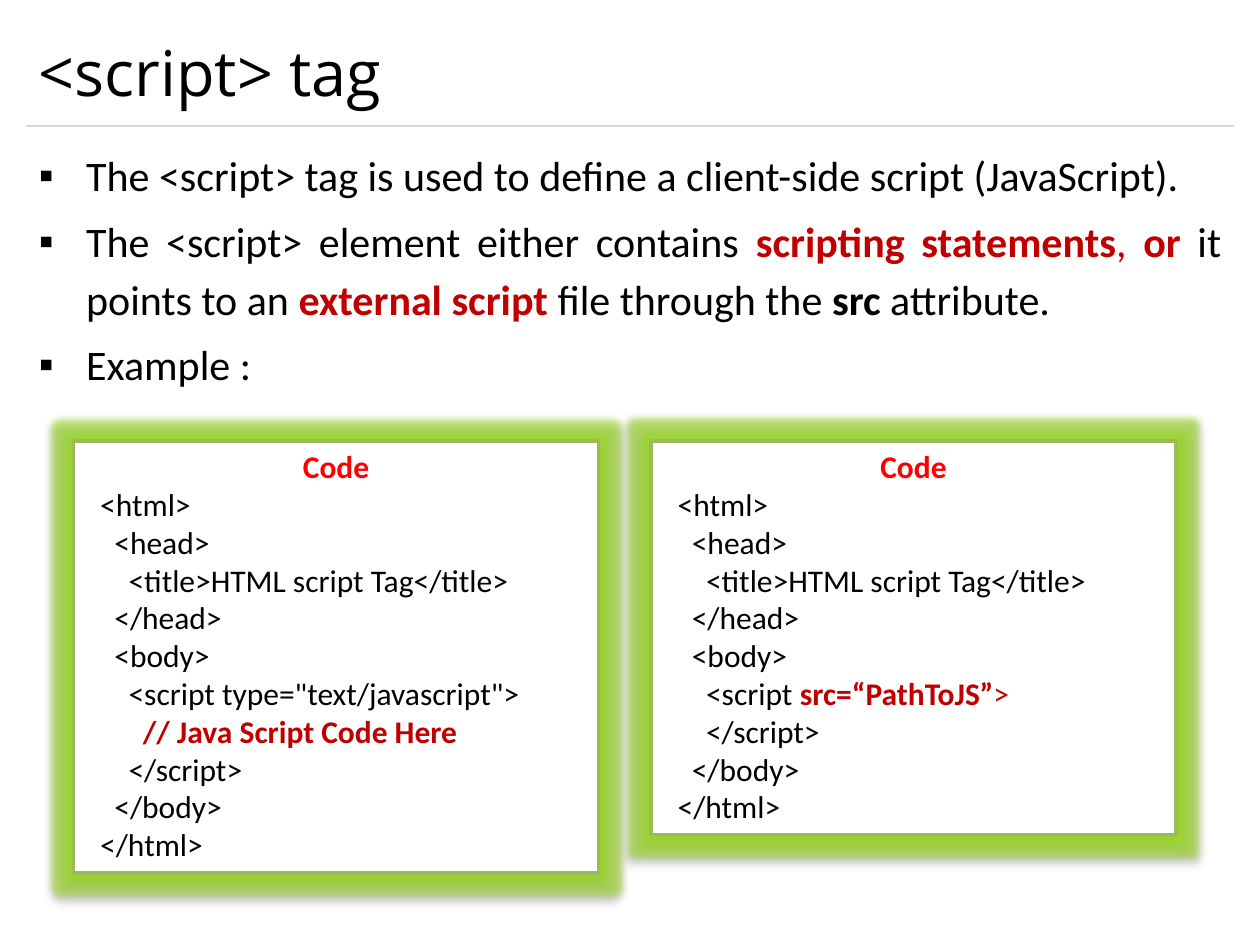
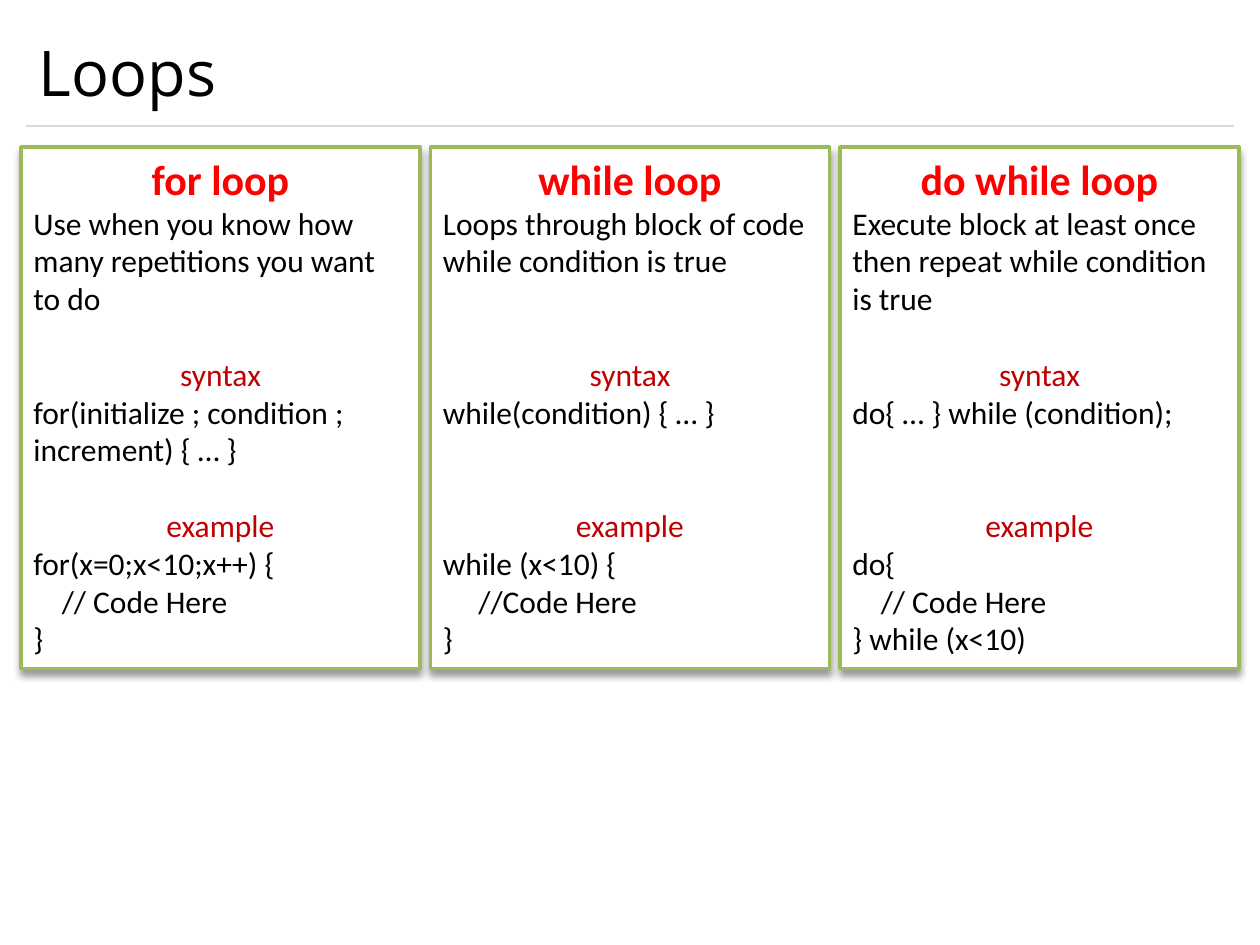
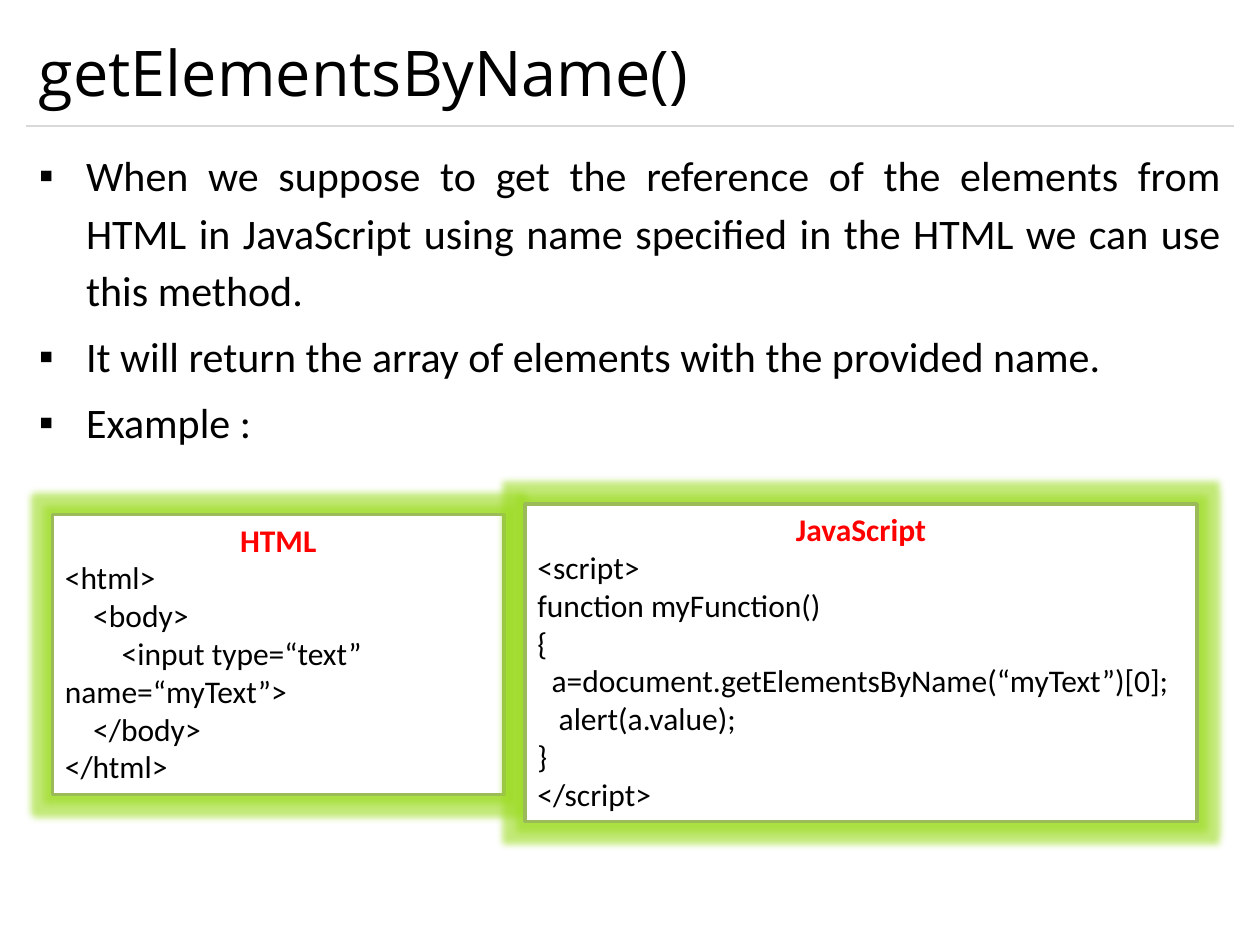
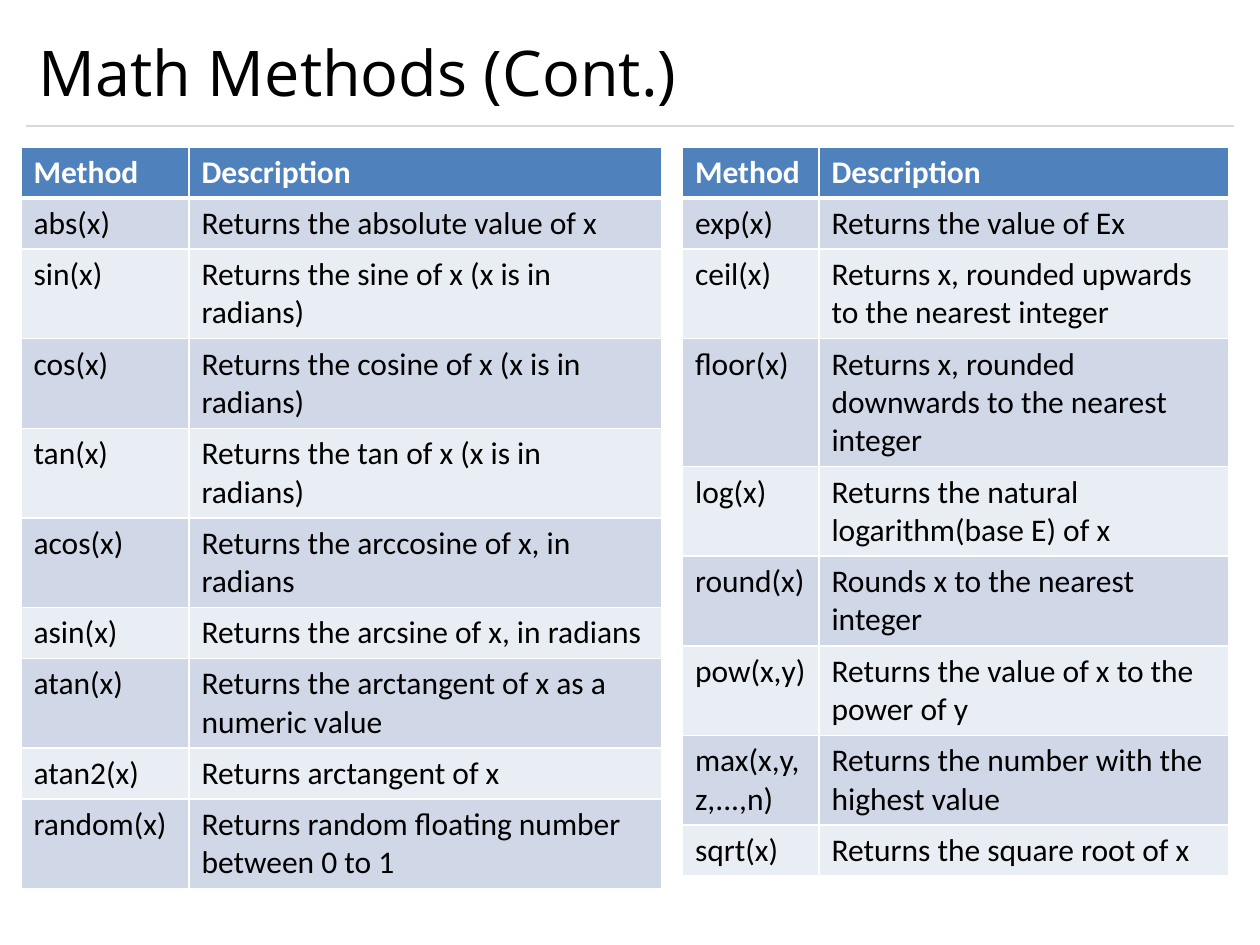
from dataclasses import dataclass

from lxml.etree import SubElement
from pptx import Presentation
from pptx.dml.color import RGBColor
from pptx.enum.shapes import MSO_CONNECTOR, MSO_SHAPE
from pptx.enum.text import MSO_ANCHOR, MSO_AUTO_SIZE, PP_ALIGN
from pptx.oxml.ns import qn
from pptx.util import Pt

COLORS = {
    "black": "000000", "white": "FFFFFF", "rule": "D9D9D9",
    "heading": "FF0000", "accent": "C00000",
    "border": "9BBB59", "glow": "9BDB20",
    "header": "4F81BD", "band_dark": "D0D8E8", "band_light": "E9EDF4",
}
FONT, TITLE_FONT = "Calibri", "Open Sans"
LEFT, WIDTH = 15, 690
LINE = 21.6  # height of one 18 pt line
TITLE_ONLY, TITLE_AND_BODY = 5, 1

# Run styles: colour name and bold
STYLES = {
    "plain": ("black", False), "bold": ("black", True),
    "accent": ("accent", False), "key": ("accent", True),
    "heading": ("heading", True), "header": ("white", True),
}


@dataclass
class Para:
    """One paragraph: a string, or a list of (text, style) runs."""
    text: str | list[tuple[str, str]]
    style: str = "plain"
    size: float = 18
    centered: bool = False
    skip: int = 0  # empty lines left above


@dataclass
class Box:
    left: float
    top: float
    width: float
    height: float
    paras: list[Para]
    glow: bool = False
    shadow: bool = False


@dataclass
class MethodTable:
    left: float
    col_widths: tuple[float, float]
    rows: list[tuple[str, str]]


def rgb(name: str) -> RGBColor:
    return RGBColor.from_string(COLORS[name])


def add_color(parent, name: str, alpha: int = 100) -> None:
    clr = SubElement(parent, qn("a:srgbClr"), val=COLORS[name])
    if alpha < 100:
        SubElement(clr, qn("a:alpha"), val=str(alpha * 1000))


def place(sp, left: float, top: float, width: float, height: float) -> None:
    sp.left, sp.top, sp.width, sp.height = map(Pt, (left, top, width, height))


def write(p, para: Para) -> None:
    """Put the runs of a paragraph in place and format them."""
    runs = [(para.text, para.style)] if isinstance(para.text, str) else para.text
    for text, style in runs:
        r = p.add_run()
        r.text = text
        color, r.font.bold = STYLES[style]
        r.font.color.rgb = rgb(color)
        r.font.name, r.font.size = FONT, Pt(para.size)


def paragraph(tf, index: int):
    return tf.add_paragraph() if index else tf.paragraphs[0]


def new_slide(prs, title: str, layout: int = TITLE_ONLY):
    """Slide with the shared title and the rule under it."""
    slide = prs.slides.add_slide(prs.slide_layouts[layout])
    sp = slide.shapes.title
    place(sp, LEFT, 9, WIDTH, 63)
    tf = sp.text_frame
    tf.text = title
    tf.auto_size = MSO_AUTO_SIZE.NONE
    tf.vertical_anchor = MSO_ANCHOR.MIDDLE
    p = tf.paragraphs[0]
    p.alignment = PP_ALIGN.LEFT
    font = p.runs[0].font
    font.name, font.size, font.color.rgb = TITLE_FONT, Pt(36), rgb("black")

    rule = slide.shapes.add_connector(
        MSO_CONNECTOR.STRAIGHT, Pt(LEFT), Pt(72), Pt(LEFT + WIDTH), Pt(72))
    rule.line.color.rgb, rule.line.width = rgb("rule"), Pt(0.75)
    SubElement(rule.element.spPr, qn("a:effectLst"))
    return slide


def add_bullets(slide, paras: list[Para]) -> None:
    body = slide.placeholders[1]
    place(body, LEFT, 78, WIDTH, 420)
    tf = body.text_frame
    tf.auto_size = MSO_AUTO_SIZE.NONE
    for i, para in enumerate(paras):
        p = paragraph(tf, i)
        p.alignment, p.line_spacing = PP_ALIGN.JUSTIFY, 1.14
        p.space_before = Pt(4.8 if i else 0)
        pPr = p._p.get_or_add_pPr()
        pPr.set("marL", str(Pt(27)))
        pPr.set("indent", str(-Pt(27)))
        add_color(SubElement(pPr, qn("a:buClr")), "black")
        SubElement(pPr, qn("a:buChar"), char="▪")
        write(p, para)


def add_box(slide, box: Box) -> None:
    sp = slide.shapes.add_shape(
        MSO_SHAPE.RECTANGLE, *map(Pt, (box.left, box.top, box.width, box.height)))
    sp.fill.solid()
    sp.fill.fore_color.rgb = rgb("white")
    sp.line.color.rgb, sp.line.width = rgb("border"), Pt(2)
    sp.shadow.inherit = False
    effects = sp.element.spPr.find(qn("a:effectLst"))
    if box.glow:
        add_color(SubElement(effects, qn("a:glow"), rad=str(Pt(8))), "glow", 60)
    if box.shadow:
        shadow = SubElement(effects, qn("a:outerShdw"), blurRad=str(Pt(4)),
                            dist=str(Pt(3)), dir="5400000", rotWithShape="0")
        add_color(shadow, "black", 40)
    tf = sp.text_frame
    tf.word_wrap = True
    tf.auto_size = MSO_AUTO_SIZE.SHAPE_TO_FIT_TEXT
    tf.vertical_anchor = MSO_ANCHOR.TOP
    for i, para in enumerate(box.paras):
        p = paragraph(tf, i)
        p.alignment = PP_ALIGN.CENTER if para.centered else PP_ALIGN.LEFT
        if para.skip:
            p.space_before = Pt(para.skip * LINE)
        write(p, para)


def add_borders(cell, top: float, bottom: float) -> None:
    tcPr = cell._tc.get_or_add_tcPr()
    for side, width in (("L", 1), ("R", 1), ("T", top), ("B", bottom)):
        ln = SubElement(tcPr, qn(f"a:ln{side}"), w=str(Pt(width)))
        add_color(SubElement(ln, qn("a:solidFill")), "white")


def add_method_table(slide, spec: MethodTable) -> None:
    rows = [("Method", "Description"), *spec.rows]
    row_height = 29.2
    table = slide.shapes.add_table(
        len(rows), 2, Pt(spec.left), Pt(84), Pt(sum(spec.col_widths)),
        Pt(row_height * len(rows))).table
    for column, width in zip(table.columns, spec.col_widths):
        column.width = Pt(width)
    for i, texts in enumerate(rows):
        table.rows[i].height = Pt(row_height)
        fill = ("band_dark" if i % 2 else "band_light") if i else "header"
        for j, text in enumerate(texts):
            cell = table.cell(i, j)
            add_borders(cell, top=3 if i == 1 else 1, bottom=1 if i else 3)
            cell.fill.solid()
            cell.fill.fore_color.rgb = rgb(fill)
            write(cell.text_frame.paragraphs[0],
                  Para(text, "plain" if i else "header"))


def heading(text: str, size: float = 18) -> Para:
    return Para(text, "heading", size, centered=True)


def code(*lines) -> list[Para]:
    return [Para(line) for line in lines]


def bullets(*items) -> list[Para]:
    return [Para(item, size=24) for item in items]


def script_page(*script_lines) -> list[Para]:
    """Code box holding an HTML page around the given script lines."""
    return [heading("Code"), *code(
        "  <html>",
        "    <head>",
        "      <title>HTML script Tag</title>",
        "    </head>",
        "    <body>",
        *script_lines,
        "      </script>",
        "    </body>",
        "  </html>")]


def loop_card(name: str, use: str, syntax: str, example: list[str],
              skips: tuple[int, int]) -> list[Para]:
    return [
        heading(name, 24), Para(use),
        Para("syntax", "accent", centered=True, skip=skips[0]), Para(syntax),
        Para("example", "accent", centered=True, skip=skips[1]), *code(*example)]


# Content
SCRIPT_BULLETS = bullets(
    "The <script> tag is used to define a client-side script (JavaScript).",
    [("The <script> element either contains ", "plain"),
     ("scripting statements", "key"), (", ", "accent"), ("or ", "key"),
     ("it points to an ", "plain"), ("external script ", "key"),
     ("file through the ", "plain"), ("src", "bold"), (" attribute.", "plain")],
    "Example :")

SCRIPT_BOXES = [
    Box(42, 252, 300, 247, script_page(
        '      <script type="text/javascript">',
        [("        ", "plain"), ("// Java Script Code Here", "key")]),
        glow=True, shadow=True),
    Box(372, 252, 300, 225, script_page(
        [("      <script ", "plain"), ("src=“PathToJS”", "key"), (">", "accent")]),
        glow=True, shadow=True),
]

LOOPS = [
    loop_card("for loop", "Use when you know how many repetitions you want to do",
              "for(initialize ; condition ; increment) { … }",
              ["for(x=0;x<10;x++) {", "    // Code Here", "}"], (1, 1)),
    loop_card("while loop", "Loops through block of code while condition is true",
              "while(condition) { … }",
              ["while (x<10) {", "     //Code Here", "}"], (2, 2)),
    loop_card("do while loop",
              "Execute block at least once then repeat while condition is true",
              "do{ … } while (condition);",
              ["do{", "    // Code Here", "} while (x<10)"], (1, 2)),
]

BY_NAME_BULLETS = bullets(
    "When we suppose to get the reference of the elements from HTML in JavaScript "
    "using name specified in the HTML we can use this method.",
    "It will return the array of elements with the provided name.",
    "Example :")

BY_NAME_BOXES = [
    Box(30, 294, 258, 160, [heading("HTML"), *code(
        "<html>",
        "    <body>",
        "        <input type=“text”",
        "name=“myText”>",
        "    </body>",
        "</html>")], glow=True),
    Box(300, 288, 384, 181.5, [heading("JavaScript"), *code(
        "<script>",
        "function myFunction()",
        "{",
        "  a=document.getElementsByName(“myText”)[0];",
        "   alert(a.value);",
        "}",
        "</script>")], glow=True),
]

MATH_TABLES = [
    MethodTable(12, (96, 270), [
        ("abs(x)", "Returns the absolute value of x"),
        ("sin(x)", "Returns the sine of x (x is in radians)"),
        ("cos(x)", "Returns the cosine of x (x is in radians)"),
        ("tan(x)", "Returns the tan of x (x is in radians)"),
        ("acos(x)", "Returns the arccosine of x, in radians"),
        ("asin(x)", "Returns the arcsine of x, in radians"),
        ("atan(x)", "Returns the arctangent of x as a numeric value"),
        ("atan2(x)", "Returns arctangent of x"),
        ("random(x)", "Returns random floating number between 0 to 1"),
    ]),
    MethodTable(390, (78, 234), [
        ("exp(x)", "Returns the value of Ex"),
        ("ceil(x)", "Returns x, rounded upwards to the nearest integer"),
        ("floor(x)", "Returns x, rounded downwards to the nearest integer"),
        ("log(x)", "Returns the natural logarithm(base E) of x"),
        ("round(x)", "Rounds x to the nearest integer"),
        ("pow(x,y)", "Returns the value of x to the power of y"),
        ("max(x,y,z,...,n)", "Returns the number with the highest value"),
        ("sqrt(x)", "Returns the square root of x"),
    ]),
]


def main() -> None:
    prs = Presentation()
    prs.slide_width, prs.slide_height = Pt(720), Pt(540)

    # Script tag
    slide = new_slide(prs, "<script> tag", TITLE_AND_BODY)
    add_bullets(slide, SCRIPT_BULLETS)
    for box in SCRIPT_BOXES:
        add_box(slide, box)

    # Loops
    slide = new_slide(prs, "Loops")
    for i, paras in enumerate(LOOPS):
        add_box(slide, Box(12 + 234 * i, 84, 228, 298, paras, shadow=True))

    # Elements by name
    slide = new_slide(prs, "getElementsByName()", TITLE_AND_BODY)
    add_bullets(slide, BY_NAME_BULLETS)
    for box in BY_NAME_BOXES:
        add_box(slide, box)

    # Math methods
    slide = new_slide(prs, "Math Methods (Cont.)")
    for spec in MATH_TABLES:
        add_method_table(slide, spec)

    prs.save("out.pptx")


if __name__ == "__main__":
    main()
